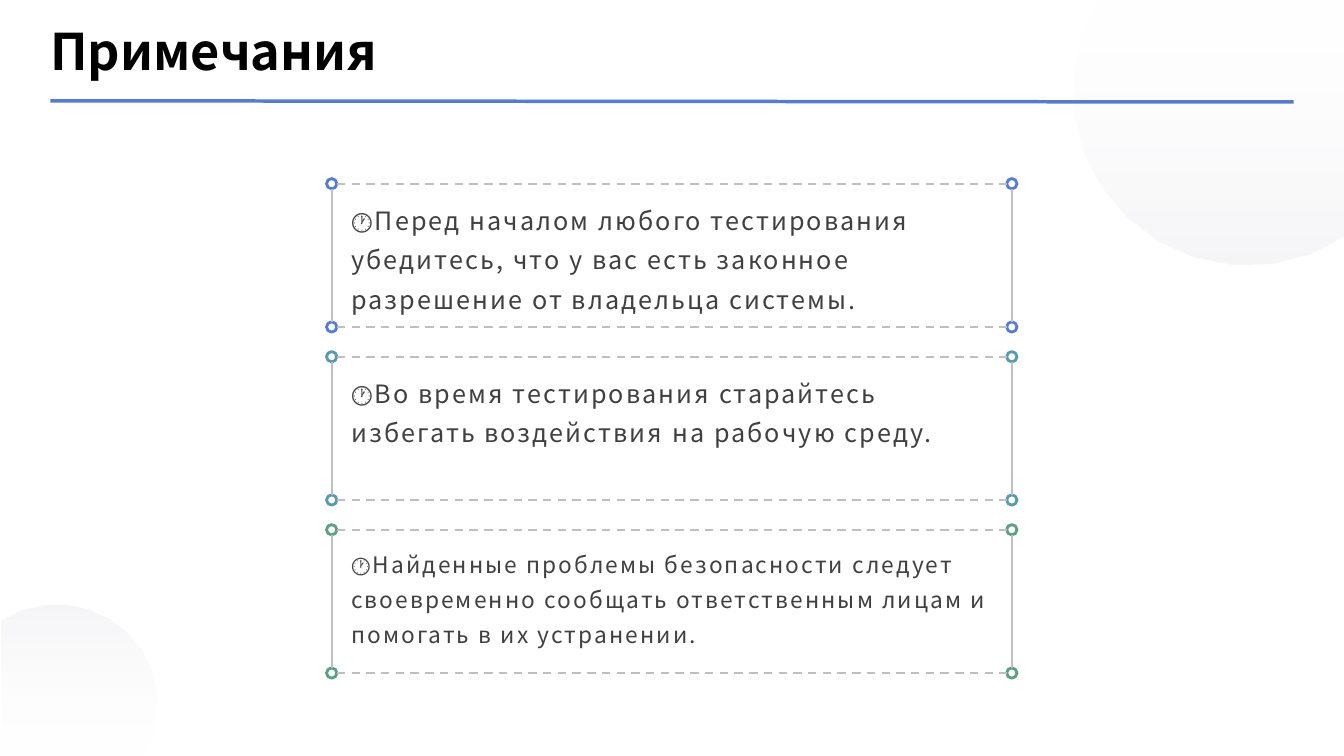
from math import acos, asin, cos, pi, sin

from lxml import etree
from pptx import Presentation
from pptx.dml.color import RGBColor
from pptx.enum.dml import MSO_LINE
from pptx.enum.shapes import MSO_CONNECTOR
from pptx.enum.text import MSO_ANCHOR
from pptx.oxml.ns import qn
from pptx.util import Cm, Pt

STRAIGHT = MSO_CONNECTOR.STRAIGHT
DASH = MSO_LINE.DASH
MIDDLE = MSO_ANCHOR.MIDDLE

BLACK = RGBColor(0x00, 0x00, 0x00)
WHITE = RGBColor(0xFF, 0xFF, 0xFF)
DARK_GRAY = RGBColor(0x40, 0x40, 0x40)
GRAY = RGBColor(0xBF, 0xBF, 0xBF)
LAVENDER = RGBColor(0xD8, 0xD8, 0xE4)
BLUE = RGBColor(0x57, 0x7C, 0xCE)
TEAL = RGBColor(0x59, 0x99, 0xAF)
GREEN = RGBColor(0x5B, 0xA0, 0x80)

WIDTH, HEIGHT = 33.87, 19.05
CARD_LEFT, CARD_RIGHT = 8.36, 25.5
CARD_TOP, CARD_HEIGHT, CARD_PITCH = 4.63, 3.61, 4.36
RING_RADIUS = 0.13

CARDS = [
    (BLUE, 18, "🕐Перед началом любого тестирования убедитесь, что у вас есть "
               "законное разрешение от владельца системы."),
    (TEAL, 18, "🕐Во время тестирования старайтесь избегать воздействия на "
               "рабочую среду."),
    (GREEN, 16.2, "🕐Найденные проблемы безопасности следует своевременно сообщать "
                  "ответственным лицам и помогать в их устранении."),
]


def arc(center_x, center_y, radius, start, end, steps):
    """Return evenly spaced points along a circular arc."""
    angles = [start + (end - start) * step / steps for step in range(steps + 1)]
    return [(center_x + radius * cos(angle), center_y + radius * sin(angle)) for angle in angles]


class NotesSlide:
    """Hold the text style and the slide being drawn."""

    font_name = "Noto Sans CJK SC"

    def __init__(self, slide):
        """Remember the slide."""
        self.slide = slide

    def text(self, box, content, font, frame, line_spacing=1.0, letter_spacing=0):
        """Add a wrapped text box."""
        shape = self.slide.shapes.add_textbox(*map(Cm, box))
        for name, value in {"word_wrap": True, **frame}.items():
            setattr(shape.text_frame, name, value)
        paragraph = shape.text_frame.paragraphs[0]
        paragraph.line_spacing = line_spacing
        run = paragraph.add_run()
        run.text = content
        run.font.color.rgb = font["color"]
        for name, value in {"name": self.font_name, **font}.items():
            if name != "color":
                setattr(run.font, name, value)
        for properties in shape.element.iter(qn("a:rPr")):
            properties.set("spc", str(letter_spacing))

    def line(self, ends, color, width, dash=None):
        """Add a straight line without a shadow."""
        connector = self.slide.shapes.add_connector(STRAIGHT, *map(Cm, ends))
        connector.line.color.rgb = color
        for name, value in {"width": Pt(width), "dash_style": dash}.items():
            setattr(connector.line, name, value)
        etree.SubElement(connector.element.spPr, qn("a:effectLst"))

    def outline(self, contours):
        """Add one freeform made of closed contours."""
        builder = None
        for contour in contours:
            points = [(Cm(x), Cm(y)) for x, y in contour]
            if builder is None:
                builder = self.slide.shapes.build_freeform(*points[0])
            else:
                builder.move_to(*points[0])
            builder.add_line_segments(points[1:], close=True)
        shape = builder.convert_to_shape()
        shape.shadow.inherit = False
        return shape

    def disc(self, center_x, center_y, radius, corner, rotation):
        """Add a faint gradient disc cut off at a corner."""
        start = acos((corner[0] - center_x) / radius)
        end = pi + asin((center_y - corner[1]) / radius)
        shape = self.outline([[corner] + arc(center_x, center_y, radius, start, end, 12)])
        shape.rotation = rotation
        shape.line.fill.background()
        shape.fill.gradient()
        shape.fill.gradient_angle = 270
        for stop, color, position in zip(shape.fill.gradient_stops, (WHITE, LAVENDER), (0, 1)):
            stop.color.rgb = color
            stop.position = position
        for color, opacity in zip(shape.element.iter(qn("a:srgbClr")), (10000, 24000)):
            etree.SubElement(color, qn("a:alpha")).set("val", str(opacity))

    def card(self, top, color, size, content):
        """Add a note framed by lines with rings at the corners."""
        bottom = top + CARD_HEIGHT
        self.text((CARD_LEFT + 0.24, top + 0.19, 16.56, 3.25), content,
                  {"size": Pt(size), "color": DARK_GRAY}, {}, 1.3, 150)
        rings = self.outline([arc(x, y, RING_RADIUS, 0, 1.75 * pi, 7)
                              for y in (bottom, top) for x in (CARD_RIGHT, CARD_LEFT)])
        rings.fill.background()
        rings.line.color.rgb = color
        rings.line.width = Pt(2)
        for y in (top, bottom):
            self.line((CARD_LEFT + RING_RADIUS, y, CARD_RIGHT - RING_RADIUS, y), GRAY, 1.5, DASH)
        for x in (CARD_LEFT, CARD_RIGHT):
            self.line((x, top + RING_RADIUS, x, bottom - RING_RADIUS), GRAY, 1.5)


def main():
    """Build and save the presentation."""
    presentation = Presentation()
    presentation.slide_width = Cm(WIDTH)
    presentation.slide_height = Cm(HEIGHT)
    notes = NotesSlide(presentation.slides.add_slide(presentation.slide_layouts[6]))
    notes.disc(31.43, 2.29, 4.39, (WIDTH, 0), 0)
    notes.disc(2.54, 16.53, 2.52, (3.94, 15.22), 180)
    notes.line((1.27, 2.54, 32.6, 2.57), BLUE, 2.5)
    margins = dict.fromkeys(("margin_left", "margin_top", "margin_right", "margin_bottom"), 0)
    notes.text((1.27, 0.43, 31.32, 1.7), "Примечания",
               {"size": Pt(36), "bold": True, "color": BLACK},
               {"vertical_anchor": MIDDLE, **margins})
    for index, (color, size, content) in enumerate(CARDS):
        notes.card(CARD_TOP + index * CARD_PITCH, color, size, content)
    presentation.save("out.pptx")


if __name__ == "__main__":
    main()
